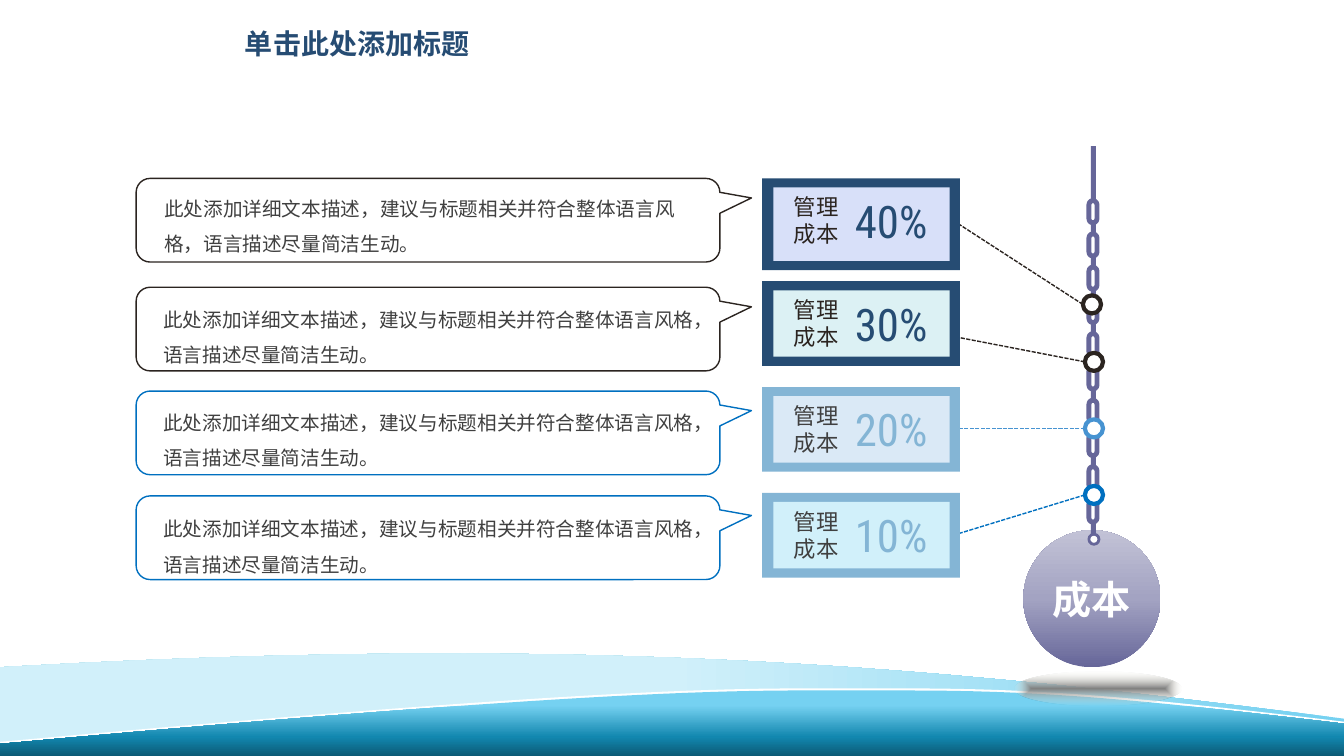
from lxml import etree
from pptx import Presentation
from pptx.dml.color import RGBColor
from pptx.enum.dml import MSO_LINE
from pptx.enum.shapes import MSO_CONNECTOR, MSO_SHAPE
from pptx.enum.text import MSO_ANCHOR, MSO_AUTO_SIZE, PP_ALIGN
from pptx.oxml.ns import qn
from pptx.util import Inches, Pt

RECT, ROUND, OVAL = MSO_SHAPE.RECTANGLE, MSO_SHAPE.ROUNDED_RECTANGLE, MSO_SHAPE.OVAL
BUBBLE = MSO_SHAPE.ROUNDED_RECTANGULAR_CALLOUT
STRAIGHT, DASH = MSO_CONNECTOR.STRAIGHT, MSO_LINE.SQUARE_DOT
LEFT, CENTER = PP_ALIGN.LEFT, PP_ALIGN.CENTER
TOP, MIDDLE = MSO_ANCHOR.TOP, MSO_ANCHOR.MIDDLE
FIXED = MSO_AUTO_SIZE.NONE

WHITE = RGBColor(0xFF, 0xFF, 0xFF)
NAVY = RGBColor(0x26, 0x4C, 0x73)
STEEL = RGBColor(0x84, 0xB5, 0xD5)
INK = RGBColor(0x2B, 0x24, 0x20)
GREY = RGBColor(0x40, 0x40, 0x40)
BLUE = RGBColor(0x00, 0x70, 0xC0)
AZURE = RGBColor(0x47, 0x93, 0xD1)
LILAC = RGBColor(0xD8, 0xE0, 0xF9)
MINT = RGBColor(0xDC, 0xF1, 0xF4)
MIST = RGBColor(0xDA, 0xE9, 0xF6)
ICE = RGBColor(0xD1, 0xF0, 0xFA)
SKY = RGBColor(0x75, 0xD1, 0xF1)
TEAL = RGBColor(0x12, 0x87, 0xAF)
DEEP = RGBColor(0x0C, 0x5A, 0x75)
PLUM = RGBColor(0x66, 0x66, 0x99)
MAUVE = RGBColor(0xA3, 0xA3, 0xC2)
PALE = RGBColor(0xC2, 0xC2, 0xD6)
SMOKE = RGBColor(0x80, 0x80, 0x80)
CREAM = RGBColor(0xEE, 0xEC, 0xE1)

SANS = "Noto Sans CJK SC"
WIDE, HIGH = 13.33, 7.5
NOTE = "此处添加详细文本描述，建议与标题相关并符合整体语言风格，语言描述尽量简洁生动。"
BACK = [(0, 6.62), (5.92, 6.28), (9.33, 6.62), (13.33, 7.13)]
FRONT = [(0, 7.38), (5.19, 6.91), (6.88, 6.85), (7.98, 6.85), (8.35, 6.85),
         (8.65, 6.85), (8.99, 6.85), (10.36, 6.85), (11.31, 6.94), (13.33, 7.18)]
CARDS = [
    (1.77, 0.91, "40%", NAVY, LILAC, INK, INK, 0.46, (10.83, 3.02)),
    (2.79, 0.84, "30%", NAVY, MINT, INK, INK, 0.56, (10.85, 3.59)),
    (3.84, 0.84, "20%", STEEL, MIST, GREY, AZURE, 0.41, (10.85, 4.25)),
    (4.89, 0.84, "10%", STEEL, ICE, GREY, BLUE, 0.4, (10.85, 4.91)),
]
NOTES = [(1.77, 0.18, -0.04, 5.39, INK), (2.85, 0.17, -0.02, 5.72, INK),
         (3.88, 0.17, -0.03, 5.72, BLUE), (4.92, 0.17, -0.01, 5.72, BLUE)]


def paint(shape, fill=None, line=None, width=1):
    """Give a shape a flat fill and an outline, or none."""
    shape.shadow.inherit = False
    if fill is None:
        shape.fill.background()
    else:
        shape.fill.solid()
        shape.fill.fore_color.rgb = fill
    if line is None:
        shape.line.fill.background()
    else:
        shape.line.color.rgb = line
        shape.line.width = Pt(width)
    return shape


def blend(shape, stops, angle=None):
    """Fill a shape with a linear blend, or with one that fades from its centre."""
    shape.fill.gradient()
    grad = shape.fill._xPr.find(qn("a:gradFill"))
    for child in list(grad):
        grad.remove(child)
    steps = etree.SubElement(grad, qn("a:gsLst"))
    for place, color, alpha in stops:
        stop = etree.SubElement(steps, qn("a:gs"), pos=str(place * 1000))
        tint = etree.SubElement(stop, qn("a:srgbClr"), val=str(color))
        if alpha < 100:
            etree.SubElement(tint, qn("a:alpha"), val=str(alpha * 1000))
    if angle is None:
        fade = etree.SubElement(grad, qn("a:path"), path="shape")
        etree.SubElement(fade, qn("a:fillToRect"), l="50000", t="50000", r="50000", b="50000")
    else:
        etree.SubElement(grad, qn("a:lin"), ang=str(angle * 60000), scaled="0")


def block(slide, kind, left, top, width, height, *style):
    """Add a painted preset shape."""
    box = [Inches(n) for n in (left, top, width, height)]
    return paint(slide.shapes.add_shape(kind, *box), *style)


def write(shape, text, size, font, color, bold=False, align=LEFT, space=None):
    """Write one run into the first paragraph of a shape."""
    para = shape.text_frame.paragraphs[0]
    para.alignment = align
    if space:
        para.line_spacing = space
    run = para.add_run()
    run.text = text
    run.font.size, run.font.name, run.font.bold = Pt(size), font, bold
    run.font.color.rgb = color
    etree.SubElement(run.font._element, qn("a:ea"), typeface=font)


def label(slide, left, top, width, height, wrap=True):
    """Add an empty text box."""
    box = slide.shapes.add_textbox(*[Inches(n) for n in (left, top, width, height)])
    box.text_frame.word_wrap = wrap
    return box


def trace(knots, steps=24):
    """List the points along a chain of cubic curves."""
    points = [knots[0]]
    for i in range(0, len(knots) - 1, 3):
        for k in range(1, steps + 1):
            t = k / steps
            parts = ((1 - t) ** 3, 3 * t * (1 - t) ** 2, 3 * t * t * (1 - t), t ** 3)
            points.append(tuple(sum(w * p[axis] for w, p in zip(parts, knots[i:i + 4]))
                                for axis in (0, 1)))
    return points


def wave(slide, knots, lift=0):
    """Add a white wave from its crest down to the foot of the slide."""
    points = [(Inches(x), Inches(y - lift)) for x, y in trace(knots)]
    points += [(Inches(WIDE), Inches(HIGH)), (0, Inches(HIGH))]
    build = slide.shapes.build_freeform(*points[0])
    build.add_line_segments(points[1:], close=True)
    return paint(build.convert_to_shape(), WHITE)


def sea(slide):
    """Draw the waves along the foot."""
    blend(wave(slide, BACK), [(0, SKY, 100), (50, ICE, 100), (100, ICE, 100)], 180)
    wave(slide, FRONT, 0.02)
    blend(wave(slide, FRONT), [(23, SKY, 100), (71, TEAL, 100), (100, DEEP, 100)], 90)


def head(slide, left, top, width, height):
    """Place the title."""
    title = slide.shapes.title
    title.left, title.top = Inches(left), Inches(top)
    title.width, title.height = Inches(width), Inches(height)
    frame = title.text_frame
    frame.auto_size, frame.word_wrap, frame.vertical_anchor = FIXED, False, TOP
    write(title, "单击此处添加标题", 20, "Arial", NAVY, True, space=1.3)


def weight(slide, left, top, size):
    """Draw the ball, its chain and its shade."""
    ball = block(slide, OVAL, left, top, size, size)
    blend(ball, [(0, PLUM, 100), (50, MAUVE, 100), (100, PALE, 100)], 270)
    frame = ball.text_frame
    frame.margin_left = frame.margin_right = frame.margin_top = frame.margin_bottom = 0
    frame.vertical_anchor = MIDDLE
    write(ball, "成本", 28, SANS, WHITE, True, CENTER)
    mid = left + 0.69
    block(slide, RECT, mid - 0.02, top - 3.81, 0.05, 0.54, PLUM)
    for i in range(10):
        y = top - 3.28 + 0.33 * i
        ring = block(slide, ROUND, mid - 0.04, y + 0.01, 0.08, 0.22, None, PLUM, 3.5)
        ring.adjustments[0] = 0.5
        block(slide, RECT, mid - 0.02, y + 0.23, 0.05, 0.12, PLUM)
    block(slide, OVAL, mid - 0.04, top + 0.04, 0.1, 0.1, WHITE, PLUM, 2)
    shade = block(slide, OVAL, left - 0.09, top + 1.4, 1.66, 0.34)
    blend(shade, [(0, SMOKE, 100), (100, CREAM, 0)])


def card(slide, left, top, width, height, share, edge, face, ink, tone, drop, pin):
    """Draw a share card tied to its pin on the chain."""
    x, y = pin
    ends = (x - 0.09, y, left + width, top + drop)
    tie = slide.shapes.add_connector(STRAIGHT, *[Inches(n) for n in ends])
    tie.line.color.rgb, tie.line.width, tie.line.dash_style = tone, Pt(1), DASH
    etree.SubElement(tie._element.spPr, qn("a:effectLst"))
    block(slide, RECT, left, top, width, height, edge)
    block(slide, RECT, left + 0.11, top + 0.09, width - 0.21, height - 0.18, face)
    block(slide, OVAL, x - 0.09, y - 0.09, 0.18, 0.18, WHITE, tone, 3)
    name = label(slide, left + 0.18, top + 0.1, 0.71, 0.64)
    write(name, "管理成本", 16, "Montserrat", ink, align=CENTER)
    value = label(slide, left + 0.82, top + 0.1, 0.98, 0.64, False)
    write(value, share, 32, "Roboto Condensed", edge)


def note(slide, left, top, width, height, inset, shift, span, tone):
    """Draw a speech bubble with its text."""
    bubble = block(slide, BUBBLE, left, top, width, height, None, tone)
    for i, value in enumerate((0.554, -0.266, 0.167)):
        bubble.adjustments[i] = value
    words = label(slide, left + inset, top + shift, span, 0.91)
    frame = words.text_frame
    frame.margin_top = frame.margin_bottom = 0
    frame.vertical_anchor = MIDDLE
    write(words, NOTE, 14, SANS, GREY, space=1.5)


def main():
    """Build the slide and save it."""
    deck = Presentation()
    deck.slide_width, deck.slide_height = Inches(WIDE), Inches(HIGH)
    slide = deck.slides.add_slide(deck.slide_layouts[5])
    sea(slide)
    head(slide, 2.33, 0.11, 2.45, 0.5)
    weight(slide, 10.15, 5.26, 1.36)
    for top, height, *rest in CARDS:
        card(slide, 7.56, top, 1.96, height, *rest)
    for top, *rest in NOTES:
        note(slide, 1.35, top, 5.79, 0.83, *rest)
    deck.save("out.pptx")


if __name__ == "__main__":
    main()
